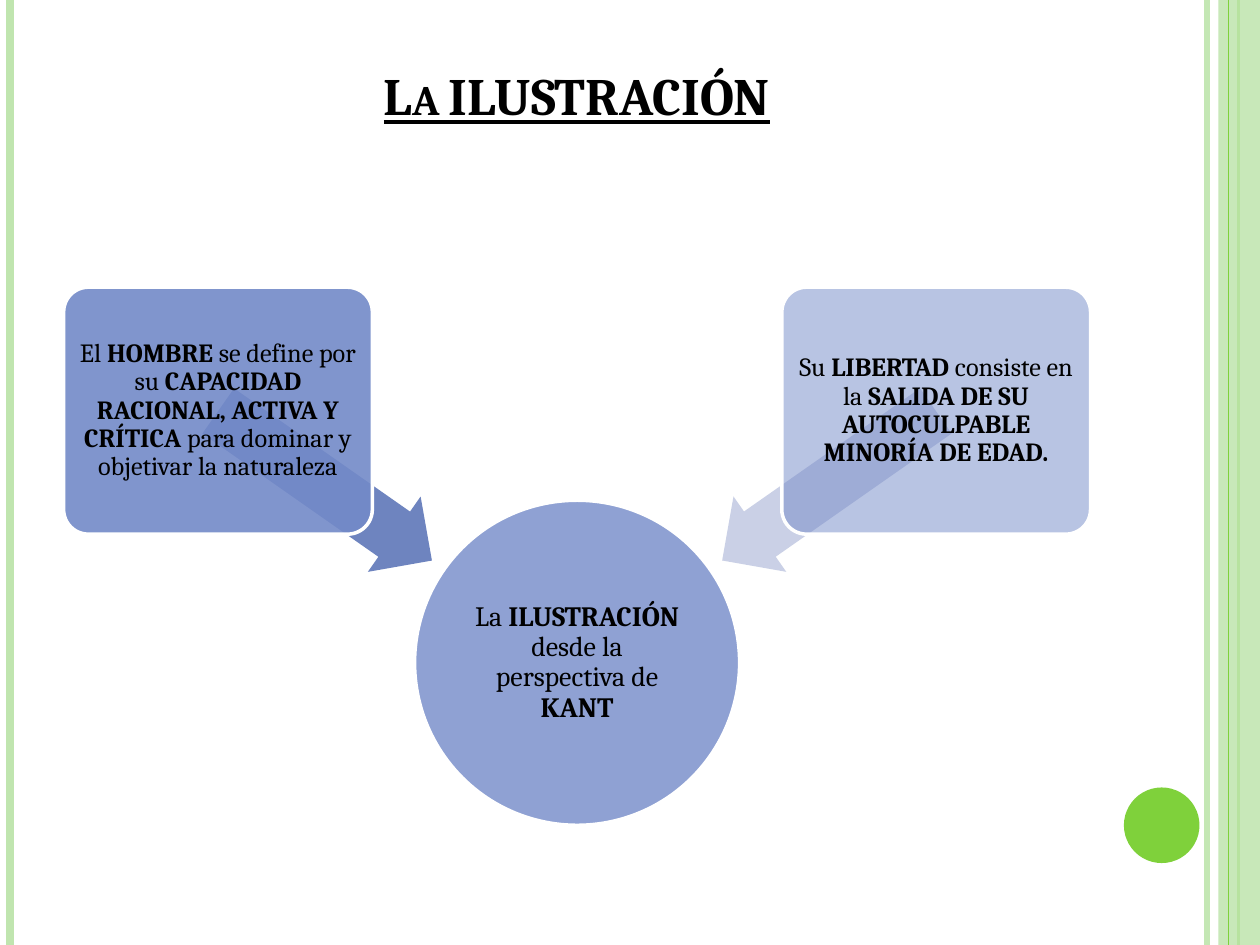
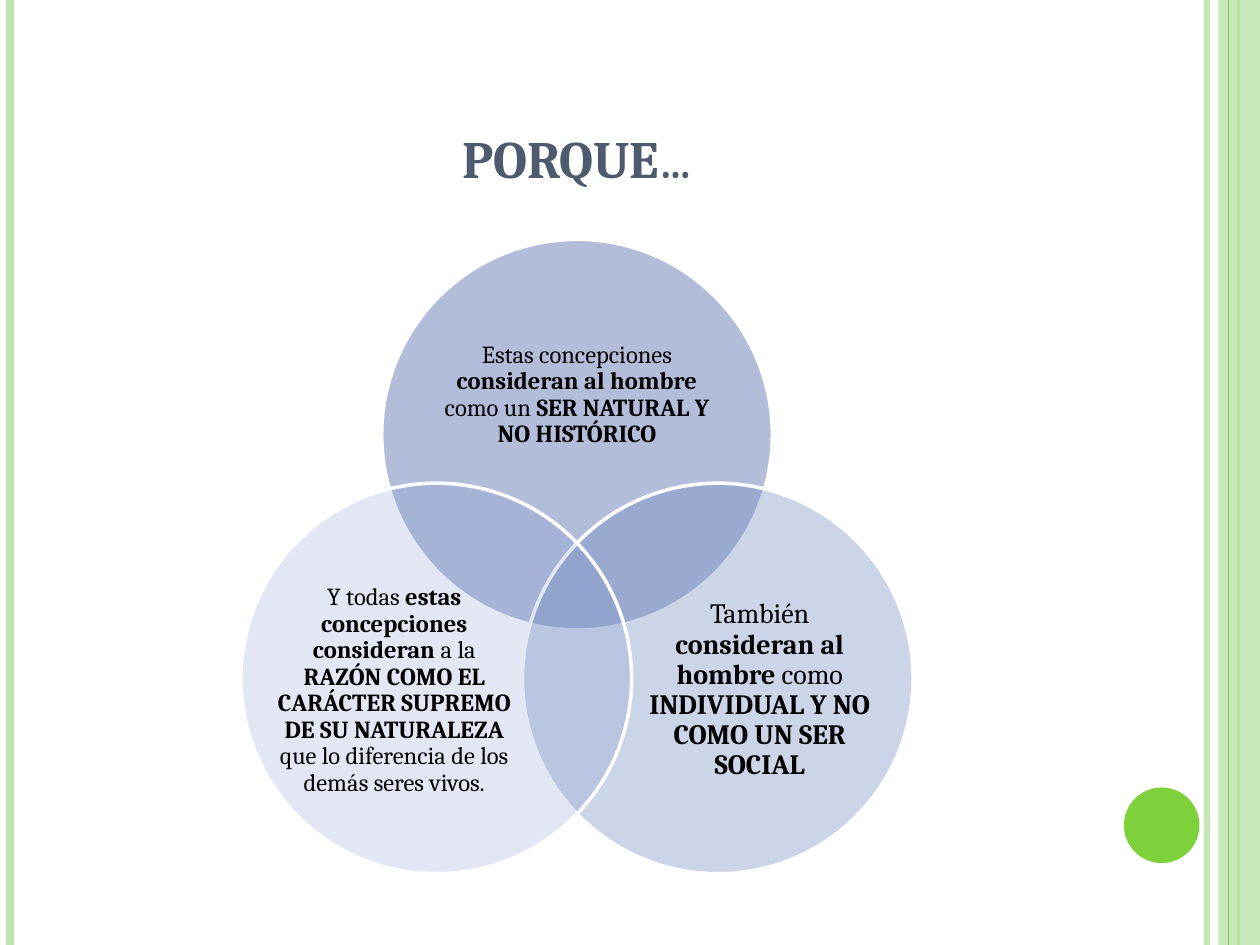
import math

from lxml import etree
from pptx import Presentation
from pptx.dml.color import RGBColor
from pptx.enum import shapes, text
from pptx.oxml import ns
from pptx.util import Inches, Pt

WIDTH, HEIGHT = 10, 7.5
AXIS = 4.58  # horizontal centre of the content area
FONT = "Cambria"

BLACK = RGBColor(0x00, 0x00, 0x00)
WHITE = RGBColor(0xFF, 0xFF, 0xFF)
SLATE = RGBColor(0x4E, 0x5B, 0x6F)
GREEN = RGBColor(0x7F, 0xD1, 0x3B)
PALE_GREEN = RGBColor(0xC0, 0xE5, 0xAF)
SOFT_GREEN = RGBColor(0xC4, 0xE7, 0xB4)
BLUE = RGBColor(0x73, 0x8A, 0xC8)
ARROW_BLUE = RGBColor(0x6E, 0x84, 0xBF)
ARROW_PALE = RGBColor(0xCA, 0xD0, 0xE6)
VENN_TOP = RGBColor(0x68, 0x7D, 0xB6)
VENN_LEFT = RGBColor(0x74, 0x8B, 0xC8)


def add_shape(slide, kind, centre, size, fill, opacity=100, outlined=False):
    """Place a flat shape by its centre; opacity is a percentage."""
    shape = slide.shapes.add_shape(
        kind, Inches(centre[0] - size[0] / 2), Inches(centre[1] - size[1] / 2),
        Inches(size[0]), Inches(size[1]))
    shape.shadow.inherit = False
    shape.fill.solid()
    shape.fill.fore_color.rgb = fill
    if opacity < 100:
        color = shape._element.spPr.find(".//" + ns.qn("a:srgbClr"))
        etree.SubElement(color, ns.qn("a:alpha"), val=str(opacity * 1000))
    if outlined:
        shape.line.color.rgb = WHITE
        shape.line.width = Pt(2)
    else:
        shape.line.fill.background()
    return shape


def add_text(slide, centre, size, wording, points, inset=0.0):
    """Place centred text by its centre; words between asterisks are bold."""
    box = slide.shapes.add_textbox(
        Inches(centre[0] - size[0] / 2), Inches(centre[1] - size[1] / 2),
        Inches(size[0]), Inches(size[1]))
    frame = box.text_frame
    frame.word_wrap = True
    frame.vertical_anchor = text.MSO_ANCHOR.MIDDLE
    frame.margin_left = frame.margin_right = Inches(inset)
    frame.margin_top = frame.margin_bottom = Inches(inset)
    paragraph = frame.paragraphs[0]
    paragraph.alignment = text.PP_ALIGN.CENTER
    paragraph.line_spacing = 0.9
    for index, part in enumerate(wording.split("*")):
        if part:
            run = paragraph.add_run()
            run.text = part
            run.font.name = FONT
            run.font.size = Pt(points)
            run.font.color.rgb = BLACK
            run.font.bold = index % 2 == 1
    return box


presentation = Presentation()
presentation.slide_width = Inches(WIDTH)
presentation.slide_height = Inches(HEIGHT)
blank = presentation.slide_layouts[6]

# Shared frame and title: wording, colour, underline, bottom inset
titles = [("La ILUSTRACIÓN", BLACK, True, 0.55), ("PORQUE…", SLATE, None, 0.05)]
stripes_below = [(9.58, SOFT_GREEN, 3), (0.08, PALE_GREEN, 4.5), (9.83, GREEN, 1.5)]
stripes_above = [(9.75, GREEN, 0.75)]

for wording, color, underlined, bottom in titles:
    slide = presentation.slides.add_slide(blank)
    for stripes in (stripes_below, stripes_above):
        if stripes is stripes_above:
            add_shape(slide, shapes.MSO_SHAPE.RECTANGLE, (9.835, HEIGHT / 2),
                      (0.33, HEIGHT), PALE_GREEN, 87)
        for x, stripe_color, points in stripes:
            stripe = slide.shapes.add_connector(
                shapes.MSO_CONNECTOR.STRAIGHT, Inches(x), 0, Inches(x), Inches(HEIGHT))
            stripe.line.color.rgb = stripe_color
            stripe.line.width = Pt(points)
            etree.SubElement(stripe._element.spPr, ns.qn("a:effectLst"))
    add_shape(slide, shapes.MSO_SHAPE.OVAL, (9.22, 6.55), (0.6, 0.6), GREEN)

    title = add_text(slide, (AXIS, 0.925), (8.17, 1.25), f"*{wording}*", 30, 0.05)
    title.text_frame.vertical_anchor = text.MSO_ANCHOR.BOTTOM
    title.text_frame.margin_bottom = Inches(bottom)
    paragraph = title.text_frame.paragraphs[0]
    paragraph.line_spacing = 1.0
    run = paragraph.runs[0]
    run.font.color.rgb = color
    run.font.underline = underlined
    run._r.get_or_add_rPr().set("cap", "small")

enlightenment, reasons = presentation.slides

# Slide 1: two cards converge on the central idea
hub = (AXIS, 5.26)
add_shape(enlightenment, shapes.MSO_SHAPE.OVAL, hub, (2.58, 2.58), BLUE, 80, True)
add_text(enlightenment, hub, (1.82, 1.82),
         "La *ILUSTRACIÓN* desde la perspectiva de *KANT*", 16, 0.01)

# side, arrow rotation, arrow colour, card opacity, wording
cards = [
    (-1, 215, ARROW_BLUE, 90, "El *HOMBRE* se define por su *CAPACIDAD RACIONAL, "
     "ACTIVA Y CRÍTICA* para dominar y objetivar la naturaleza"),
    (1, 325, ARROW_PALE, 50, "Su *LIBERTAD* consiste en la *SALIDA DE SU "
     "AUTOCULPABLE MINORÍA DE EDAD.*"),
]
for side, rotation, arrow_color, opacity, wording in cards:
    arrow = add_shape(enlightenment, shapes.MSO_SHAPE.LEFT_ARROW,
                      (AXIS + side * 2, 3.855), (2.07, 0.73), arrow_color)
    arrow.rotation = rotation
    arrow.adjustments[0] = 0.6
    arrow.adjustments[1] = 0.5
    centre = (AXIS + side * 2.85, 3.26)
    card = add_shape(enlightenment, shapes.MSO_SHAPE.ROUNDED_RECTANGLE,
                     centre, (2.45, 1.96), BLUE, opacity, True)
    card.adjustments[0] = 0.1
    add_text(enlightenment, centre, (2.33, 1.84), wording, 15, 0.03)

# Slide 2: three overlapping circles, 120 degrees apart
VENN_Y, VENN_RADIUS = 4.74, 1.29
# angle, colour, opacity, text centre, text size, points, wording
circles = [
    (-90, VENN_TOP, 50, (AXIS, 3.135), (2.27, 1.39), 14,
     "Estas concepciones *consideran al hombre *como un *SER NATURAL Y NO HISTÓRICO*"),
    (30, ARROW_BLUE, 35, (AXIS + 1.45, 5.48), (1.86, 1.7), 16,
     "También *consideran al hombre *como *INDIVIDUAL Y NO COMO UN SER SOCIAL*"),
    (150, VENN_LEFT, 20, (AXIS - 1.45, 5.48), (1.86, 1.7), 14,
     "Y todas *estas concepciones consideran* a la *RAZÓN COMO EL CARÁCTER SUPREMO "
     "DE SU NATURALEZA* que lo diferencia de los demás seres vivos."),
]
for angle, color, opacity, text_centre, text_size, points, wording in circles:
    centre = (AXIS + VENN_RADIUS * math.cos(math.radians(angle)),
              VENN_Y + VENN_RADIUS * math.sin(math.radians(angle)))
    add_shape(reasons, shapes.MSO_SHAPE.OVAL, centre, (3.1, 3.1), color, opacity, True)
    add_text(reasons, text_centre, text_size, wording, points)

presentation.save("out.pptx")
